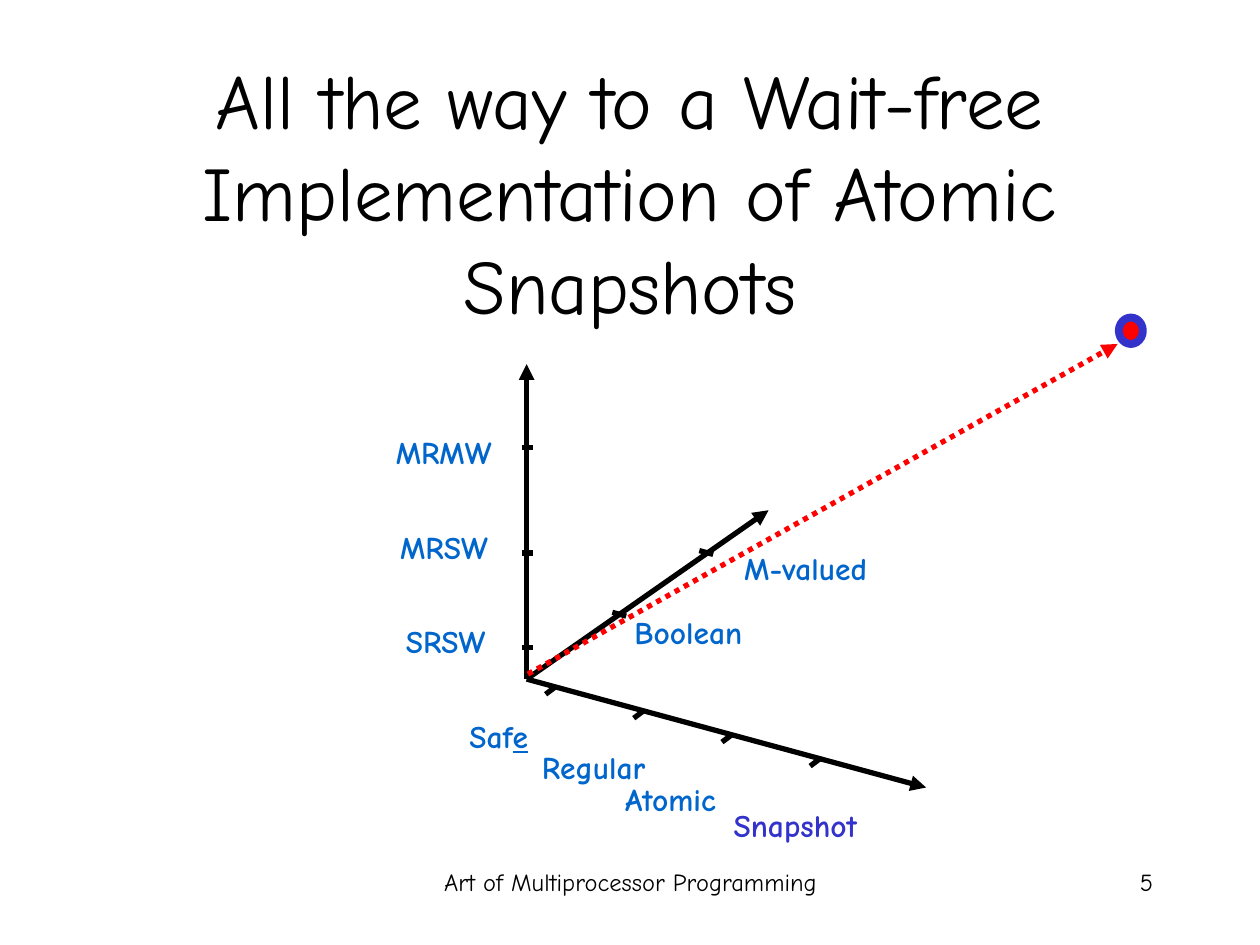
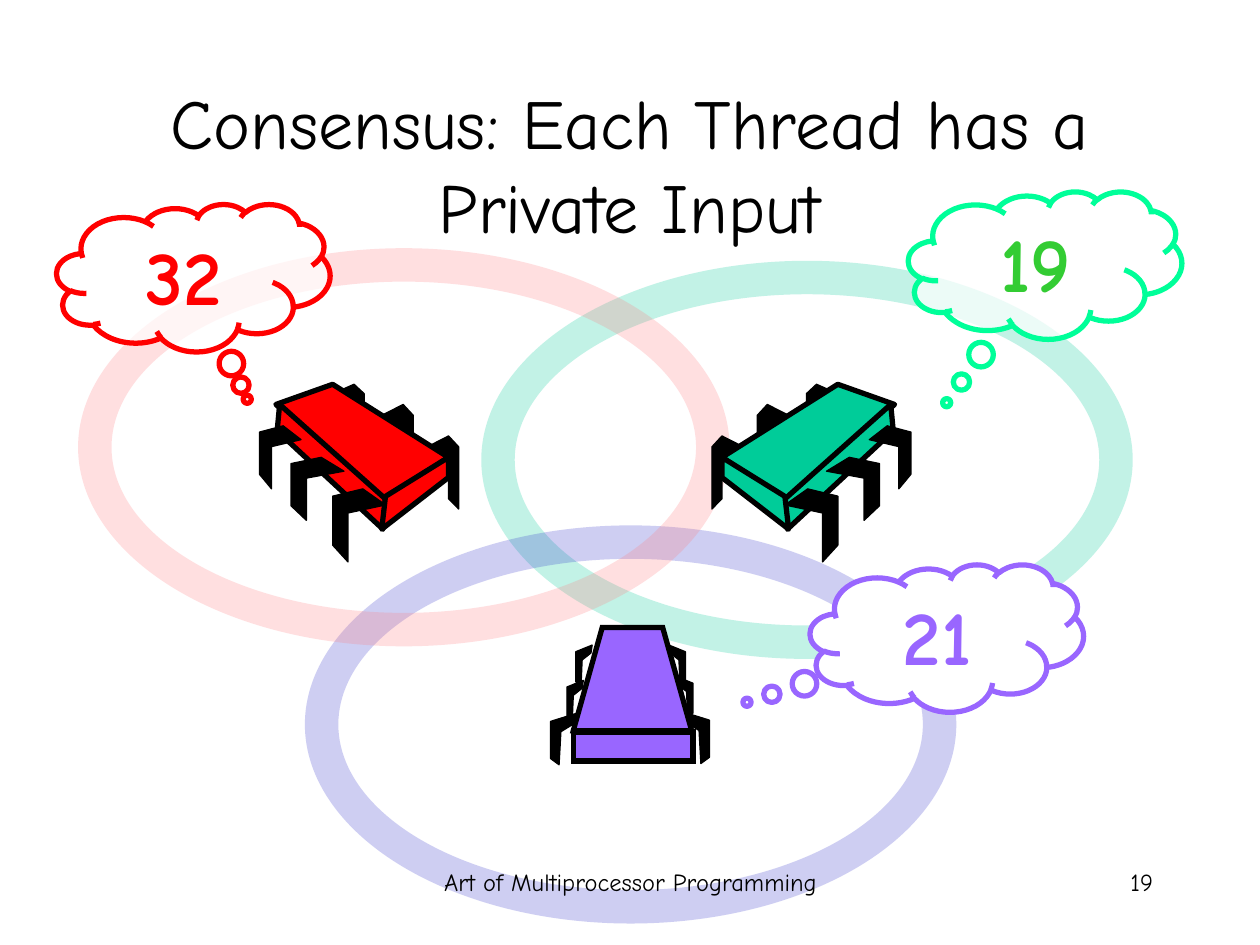
from lxml import etree
from pptx import Presentation
from pptx import util as u
from pptx.dml.color import RGBColor
from pptx.enum import dml, shapes, text
from pptx.oxml.ns import qn

FONT = "Comic Neue"
BLACK, WHITE, RED = "000000", "FFFFFF", "FF0000"
LABEL_BLUE, INDIGO = "0066CC", "3333CC"
TEAL, VIOLET = "00CC99", "9966FF"
FOOTER = "Art of Multiprocessor Programming"

BACK_LEG = [(0, .15), (.68, 0), (1, .15), (1, 1), (.68, .86), (.68, .29), (0, .43)]
FRONT_LEG = [(.57, 0), (1, .22), (.29, .33), (.29, 1), (0, .77), (0, .1)]
SIDE_LEG = [(0, 0), (1, .16), (1, .88), (.68, 1), (.61, .36), (.07, .19)]

BACK_LEG_BOXES = [(3.39, 3.46, .25, .58), (3.03, 3.21, .25, .58), (2.64, 3.05, .25, .5)]
FRONT_LEG_BOXES = [(2.64, 3.88, .42, .58), (2.31, 3.63, .42, .5), (2.06, 3.38, .33, .5)]
CHIP_FACES = [
    [(2.64, 3.05), (3.56, 3.63), (3.04, 3.97), (2.19, 3.21)],
    [(2.22, 3.21), (3.06, 3.96), (3.04, 4.2), (2.2, 3.42)],
    [(3.56, 3.63), (3.56, 3.79), (3.03, 4.2), (3.06, 3.94)],
]


def inch(value):
    return u.Cm(value * 2.54)


def box(*values):
    return [inch(v) for v in values]


def color(value):
    return RGBColor.from_string(value)


def format_text(p, size, c, align, bold=False):
    p.alignment = align
    for r in p.runs:
        r.font.name = FONT
        r.font.size = u.Pt(size)
        r.font.bold = bold
        r.font.color.rgb = color(c)


def add_text(s, words, at, size, c=BLACK, align=text.PP_ALIGN.CENTER,
             anchor=text.MSO_ANCHOR.TOP):
    tf = s.shapes.add_textbox(*box(*at)).text_frame
    tf.word_wrap = True
    tf.vertical_anchor = anchor
    tf.text = words
    format_text(tf.paragraphs[0], size, c, align)


def add_label(s, words, left, top, width, c=LABEL_BLUE, underlined=""):
    tf = s.shapes.add_textbox(*box(left, top, width, .4)).text_frame
    tf.word_wrap = False
    tf.auto_size = text.MSO_AUTO_SIZE.SHAPE_TO_FIT_TEXT
    p = tf.paragraphs[0]
    p.text = words
    if underlined:
        r = p.add_run()
        r.text = underlined
        r.font.underline = True
    format_text(p, 18, c, text.PP_ALIGN.RIGHT, bold=True)


def add_title(s, words, top, size):
    add_text(s, words, (.75, top, 8.5, 1.25), size, anchor=text.MSO_ANCHOR.MIDDLE)


def add_footer(s, number):
    add_text(s, FOOTER, (3.42, 6.83, 3.17, .5), 14)
    add_text(s, str(number), (7.17, 6.83, 2.08, .5), 14, align=text.PP_ALIGN.RIGHT)


def add_line(s, start, end, c=BLACK, arrow=False, dash=None):
    conn = s.shapes.add_connector(shapes.MSO_CONNECTOR.STRAIGHT, *box(*start, *end))
    conn.line.color.rgb = color(c)
    conn.line.width = u.Pt(3)
    if dash:
        conn.line.dash_style = dash
    spPr = conn.element.spPr
    if arrow:
        etree.SubElement(spPr.find(qn("a:ln")), qn("a:tailEnd"), type="triangle")
    etree.SubElement(spPr, qn("a:effectLst"))


def paint(sp, fill, line=None, width=3, opacity=100, sharp=False):
    sp.shadow.inherit = False
    sp.fill.solid()
    sp.fill.fore_color.rgb = color(fill)
    spPr = sp.element.spPr
    if opacity < 100:
        srgb = spPr.find(qn("a:solidFill"))[0]
        etree.SubElement(srgb, qn("a:alpha"), val=str(opacity * 1000))
    if line:
        sp.line.color.rgb = color(line)
        sp.line.width = u.Pt(width)
    else:
        sp.line.fill.background()
    if sharp:
        etree.SubElement(spPr.find(qn("a:ln")), qn("a:miter"), lim="800000")


def add_ring(s, left, top, c):
    sp = s.shapes.add_shape(shapes.MSO_SHAPE.DONUT, *box(left, top, 5.17, 3.16))
    sp.adjustments[0] = .084
    paint(sp, c, opacity=24)


def add_thought(s, words, left, top, tail, line, c, opacity=100):
    sp = s.shapes.add_shape(shapes.MSO_SHAPE.CLOUD_CALLOUT, *box(left, top, 2.17, 1.17))
    sp.adjustments[0], sp.adjustments[1] = tail
    paint(sp, WHITE, line, opacity=opacity)
    tf = sp.text_frame
    tf.vertical_anchor = text.MSO_ANCHOR.MIDDLE
    tf.text = words
    format_text(tf.paragraphs[0], 44, c, text.PP_ALIGN.CENTER, bold=True)


def add_outline(group, points, fill, width=3, mirror=None, sharp=False):
    if mirror:
        points = [(mirror - x, y) for x, y in points]
    start, *rest = [box(*point) for point in points]
    builder = group.shapes.build_freeform(*start)
    builder.add_line_segments(rest, close=True)
    paint(builder.convert_to_shape(), fill, BLACK, width, sharp=sharp)


def add_leg(group, outline, at, mirror=None):
    left, top, width, height = at
    points = [(left + x * width, top + y * height) for x, y in outline]
    add_outline(group, points, BLACK, .75, mirror)


def add_tilted_chip(s, c, mirror=None):
    group = s.shapes.add_group_shape()
    for at in BACK_LEG_BOXES:
        add_leg(group, BACK_LEG, at, mirror)
    for face in CHIP_FACES:
        add_outline(group, face, c, mirror=mirror)
    for at in FRONT_LEG_BOXES:
        add_leg(group, FRONT_LEG, at, mirror)


def add_front_chip(s, c):
    group = s.shapes.add_group_shape()
    add_leg(group, SIDE_LEG, (5.42, 5.65, .21, .41))
    add_leg(group, SIDE_LEG, (5.37, 5.37, .13, .33))
    add_leg(group, SIDE_LEG, (5.42, 5.66, .21, .41), mirror=10)
    add_leg(group, SIDE_LEG, (5.37, 5.4, .13, .33), mirror=10)
    top_face = [(4.55, 5.8), (5.49, 5.8), (5.26, 4.98), (4.78, 4.98)]
    add_outline(group, top_face, c, sharp=True)
    sp = group.shapes.add_shape(shapes.MSO_SHAPE.RECTANGLE, *box(4.55, 5.81, .95, .23))
    paint(sp, c, BLACK, sharp=True)
    for mirror in (None, 10.01):
        add_leg(group, SIDE_LEG, (5.31, 5.12, .13, .33), mirror)


def snapshot_slide(prs):
    s = prs.slides.add_slide(prs.slide_layouts[6])
    add_title(s, "All the way to a Wait-free Implementation of Atomic Snapshots", .89, 44)

    origin = (4.18, 5.39)
    for tip in ((4.18, 2.89), (6.1, 4.05), (7.35, 6.25)):
        add_line(s, origin, tip, arrow=True)

    for words, left, top, width in (
        ("MRMW", 3.02, 3.39, .98), ("MRSW", 3.06, 4.14, .91), ("SRSW", 3.1, 4.89, .85),
        ("Regular", 4.18, 5.89, 1.04), ("Atomic", 4.84, 6.14, .94),
        ("M-valued", 5.78, 4.31, 1.2), ("Boolean", 4.92, 4.82, 1.07),
    ):
        add_label(s, words, left, top, width)
    add_label(s, "Saf", 3.6, 5.64, .69, underlined="e")
    add_label(s, "Snapshot", 5.7, 6.35, 1.2, INDIGO)

    for y in (5.14, 4.39, 3.55):
        add_line(s, (4.14, y), (4.23, y))
    for x, y in ((4.86, 4.86), (5.55, 4.37)):
        add_line(s, (x, y), (x + .11, y + .03))
    for i in range(4):
        x, y = 4.33 + .7 * i, 5.51 + .19 * i
        add_line(s, (x, y), (x + .08, y - .06))

    goal = s.shapes.add_shape(shapes.MSO_SHAPE.OVAL, *box(8.88, 2.52, .19, .21))
    paint(goal, RED, INDIGO, 4.5)
    add_line(s, (4.19, 5.35), (8.87, 2.73), RED, arrow=True, dash=dml.MSO_LINE.ROUND_DOT)
    add_footer(s, 5)


def consensus_slide(prs):
    s = prs.slides.add_slide(prs.slide_layouts[6])
    add_ring(s, 3.82, 2.07, TEAL)
    add_ring(s, 2.42, 4.17, INDIGO)
    add_title(s, "Consensus: Each Thread has a Private Input", .67, 40)
    add_ring(s, .62, 1.97, "FF7C80")

    add_front_chip(s, VIOLET)
    add_thought(s, "32", .45, 1.62, (.197, .824), RED, RED, opacity=70)
    add_thought(s, "19", 7.21, 1.52, (-.36, .933), "00FF99", "33CC33", opacity=70)
    add_tilted_chip(s, RED)
    add_tilted_chip(s, TEAL, mirror=9.29)
    add_thought(s, "21", 6.43, 4.48, (-.731, .435), VIOLET, VIOLET)
    add_footer(s, 19)


def main():
    prs = Presentation()
    prs.slide_width, prs.slide_height = box(10, 7.5)
    snapshot_slide(prs)
    consensus_slide(prs)
    prs.save("out.pptx")


if __name__ == "__main__":
    main()
